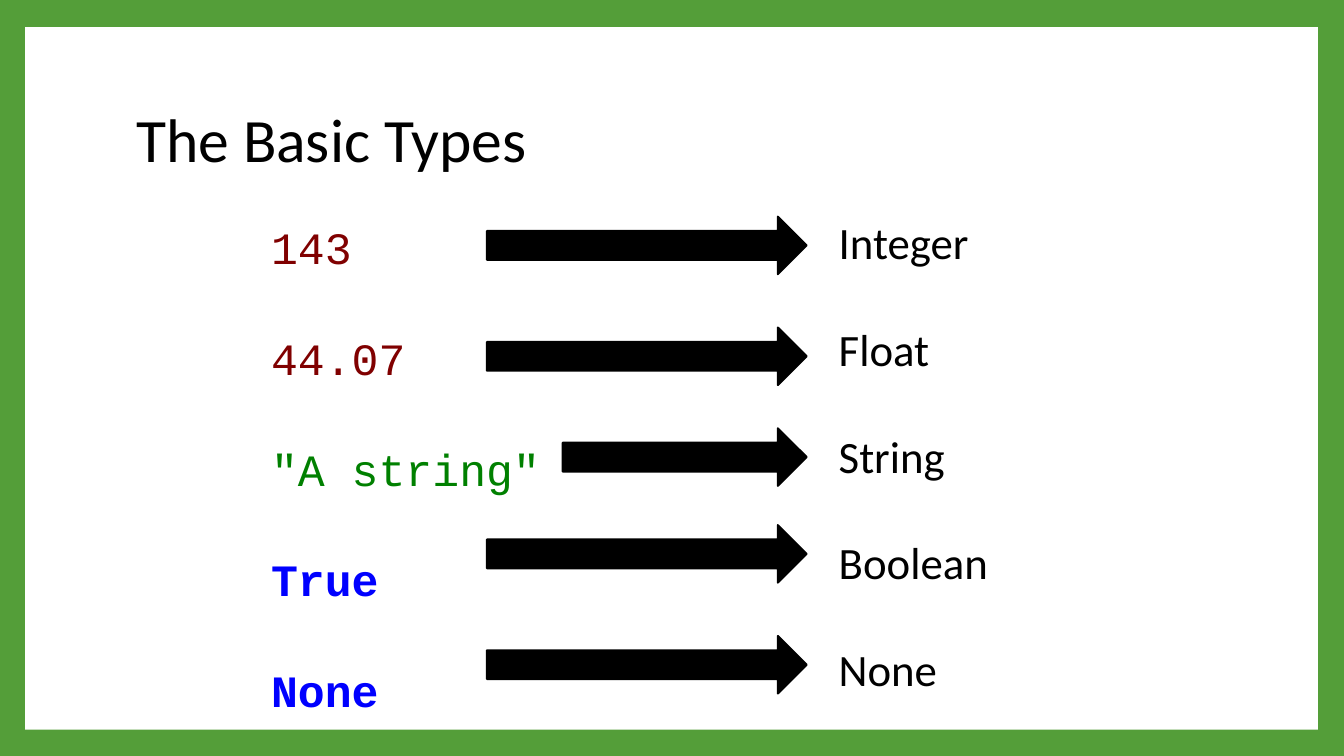
from pptx import Presentation
from pptx.dml.color import RGBColor
from pptx.enum.shapes import MSO_SHAPE
from pptx.enum.text import MSO_ANCHOR
from pptx.util import Inches, Pt

RECTANGLE = MSO_SHAPE.RECTANGLE
RIGHT_ARROW = MSO_SHAPE.RIGHT_ARROW
MIDDLE = MSO_ANCHOR.MIDDLE

COLORS = {
    "frame": "549E39",
    "panel": "FFFFFF",
    "text": "000000",
    "number": "800000",
    "string": "008000",
    "keyword": "0000FF",
}
CODE_FONT, TEXT_FONT = "Courier New", "Calibri"
TEXT_SIZE = 32
ROW_PITCH = 76.9  # points from one row to the next

# value, its color, bold, type name, arrow left, arrow top
ROWS = [
    ("143", "number", False, "Integer", 4.83, 2.15),
    ("44.07", "number", False, "Float", 4.83, 3.25),
    ('"A string"', "string", False, "String", 5.58, 4.25),
    ("True", "keyword", True, "Boolean", 4.83, 5.21),
    ("None", "keyword", True, "None", 4.83, 6.31),
]
ARROW_RIGHT, ARROW_HEIGHT = 8.0, 0.57


def color(name):
    return RGBColor.from_string(COLORS[name])


def style(paragraph, font_name, size, color_name, bold=False):
    paragraph.font.name = font_name
    paragraph.font.size = Pt(size)
    paragraph.font.color.rgb = color(color_name)
    paragraph.font.bold = bold


def add_panel(slide, left, top, width, height):
    """White panel behind the title, on the green background."""
    slide.background.fill.solid()
    slide.background.fill.fore_color.rgb = color("frame")
    panel = slide.shapes.add_shape(
        RECTANGLE, Inches(left), Inches(top), Inches(width), Inches(height))
    panel.shadow.inherit = False
    panel.fill.solid()
    panel.fill.fore_color.rgb = color("panel")
    panel.line.fill.background()
    slide.shapes.title._element.addprevious(panel._element)


def set_title(slide, text, left, top, width, height):
    title = slide.shapes.title
    title.left, title.top = Inches(left), Inches(top)
    title.width, title.height = Inches(width), Inches(height)
    title.text_frame.text = text
    title.text_frame.vertical_anchor = MIDDLE
    paragraph = title.text_frame.paragraphs[0]
    paragraph.line_spacing = 0.9
    style(paragraph, TEXT_FONT, 44, "text")
    paragraph.alignment = 1


def add_column(slide, entries, font_name, line_height, inset,
               left, top, width, height):
    """Column of (text, color, bold) entries spaced by the row pitch."""
    box = slide.shapes.add_textbox(
        Inches(left), Inches(top), Inches(width), Inches(height))
    frame = box.text_frame
    frame.word_wrap = True
    frame.margin_top = Inches(inset)
    for index, (text, color_name, bold) in enumerate(entries):
        paragraph = frame.add_paragraph() if index else frame.paragraphs[0]
        paragraph.text = text
        style(paragraph, font_name, TEXT_SIZE, color_name, bold)
        if index:
            paragraph.space_before = Pt(ROW_PITCH - line_height * TEXT_SIZE)


def add_arrow(slide, left, top, width, height):
    arrow = slide.shapes.add_shape(
        RIGHT_ARROW, Inches(left), Inches(top), Inches(width), Inches(height))
    arrow.shadow.inherit = False
    arrow.fill.solid()
    arrow.fill.fore_color.rgb = color("text")
    arrow.line.color.rgb = color("text")
    arrow.line.width = Pt(1.5)


def main():
    presentation = Presentation()
    presentation.slide_width = Inches(13.33)
    presentation.slide_height = Inches(7.5)
    slide = presentation.slides.add_slide(presentation.slide_layouts[5])

    add_panel(slide, 0.25, 0.27, 12.82, 6.97)
    set_title(slide, "The Basic Types", 1.25, 0.67, 10.8, 1.48)

    # Values, arrows and type names
    values = [row[:3] for row in ROWS]
    type_names = [(row[3], "text", False) for row in ROWS]
    add_column(slide, values, CODE_FONT, 1.13, 0.13, 2.59, 2.05, 3.83, 4.95)
    for *_, left, top in ROWS:
        add_arrow(slide, left, top, ARROW_RIGHT - left, ARROW_HEIGHT)
    add_column(slide, type_names, TEXT_FONT, 1.22, 0.08, 8.22, 2.05, 3.83, 4.95)

    presentation.save("out.pptx")


if __name__ == "__main__":
    main()
